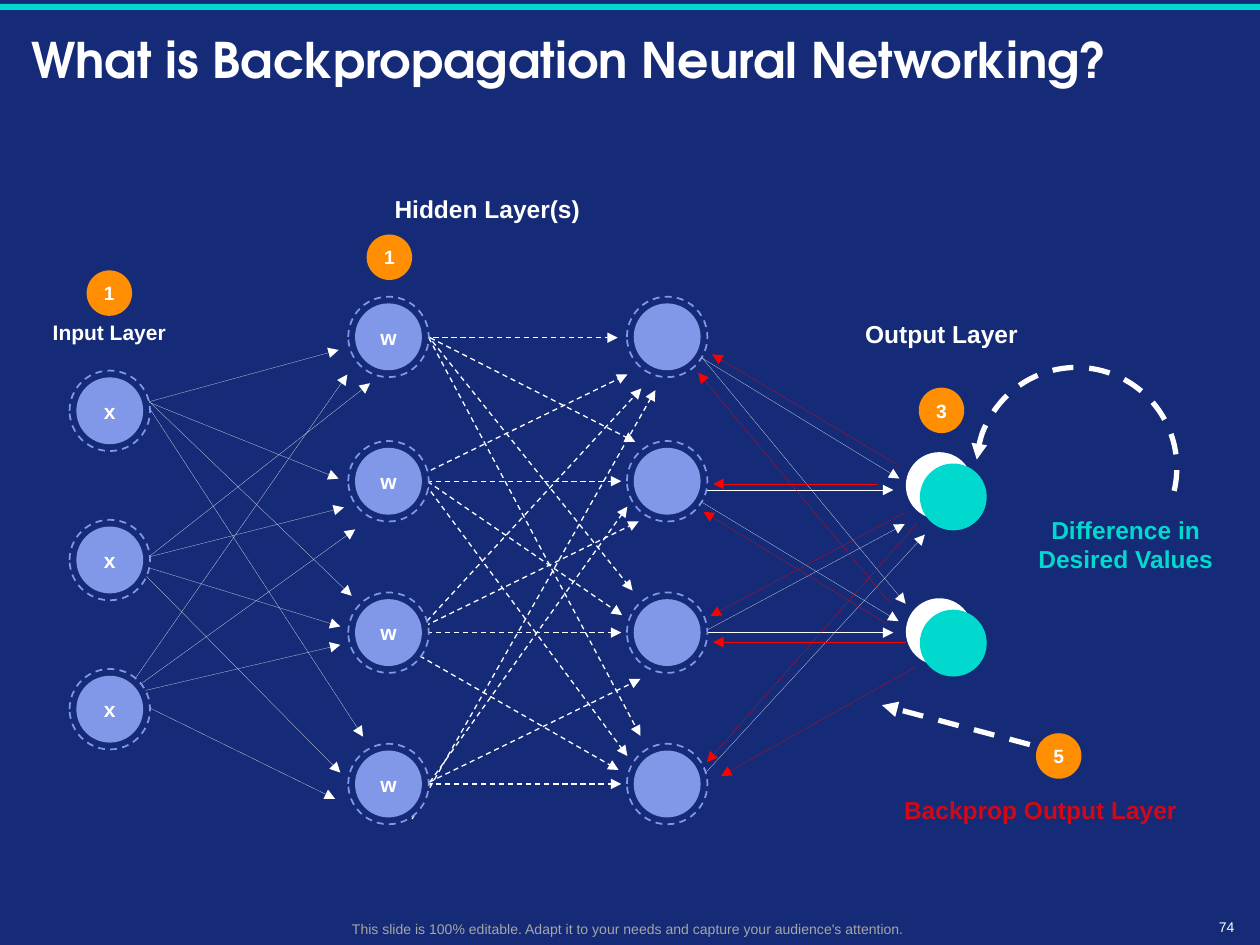
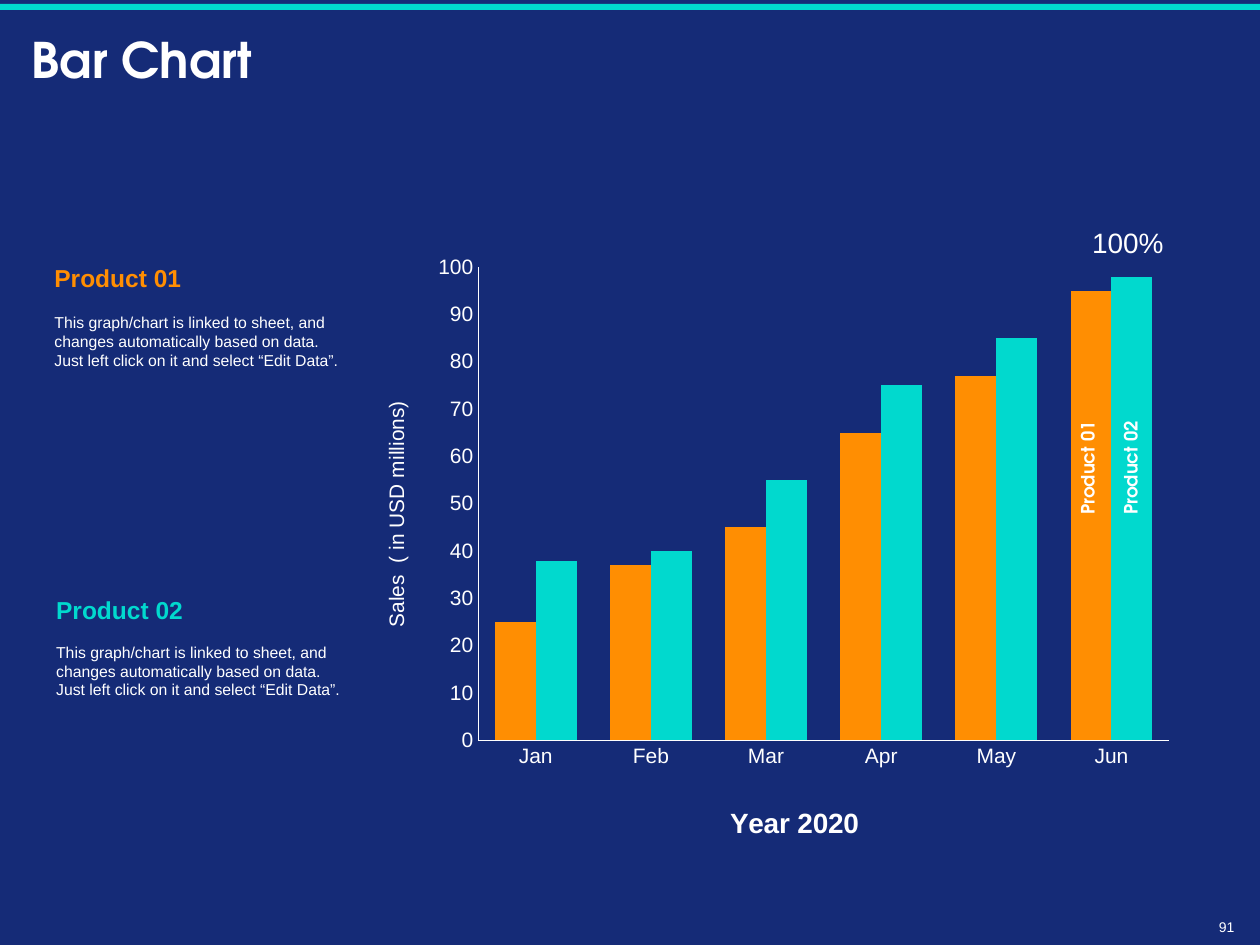
from lxml.etree import SubElement
from pptx import Presentation
from pptx.chart.data import CategoryChartData
from pptx.dml.color import RGBColor
from pptx.enum.chart import XL_CHART_TYPE, XL_TICK_MARK
from pptx.enum.dml import MSO_LINE
from pptx.enum.shapes import MSO_CONNECTOR, MSO_SHAPE
from pptx.enum.text import MSO_ANCHOR, PP_ALIGN
from pptx.oxml.ns import qn
from pptx.util import Pt

# Shared look
HUES = {"navy": "152B77", "teal": "01D9CE", "white": "FFFFFF", "blue": "8198E9",
        "gold": "FF8E02", "red": "FF0000", "brick": "D30816", "grey": "A6A6A6"}
SANS, HEAD = "Arial", "TeX Gyre Adventor"
LEFT, MID, RIGHT = PP_ALIGN.LEFT, PP_ALIGN.CENTER, PP_ALIGN.RIGHT
WIDE, HIGH = 720, 540
HAIR = 0.01

# Network: column centre, row centres, letter
LAYERS = [
    (62.75, [234.75 + 85.25 * row for row in range(3)], "x"),
    (222, [192.5, 275, 361.5, 448], "w"),
    (381.25, [192.5, 275, 361.5, 448], ""),
]
RING, DISC, BADGE = 46, 38.2, 26
OUTPUTS = [(536.75, 277.5), (536.75, 361)]
SHIFT = (8, 6.5)
BADGES = [("1", 62.5, 167.5), ("1", 222.5, 147), ("3", 538, 234.5), ("5", 605, 432)]

# Arrows: from x, y to x, y
FIRST = [
    (52.5, 411, 203, 302.5), (60, 412.5, 198.5, 214), (55.5, 401, 194.5, 368.5),
    (56, 390, 191.5, 456.5), (62.5, 324, 196.5, 290), (58.5, 339, 211.5, 219),
    (57.5, 316, 194.5, 358), (75, 320.5, 194.5, 441.5), (65.5, 222, 193.5, 273.5),
    (63.5, 235.5, 193.5, 200), (78, 222.5, 201, 340.5), (76.5, 219.5, 207.5, 421),
]
INNER = [
    (236, 451.5, 366, 388), (230.5, 468, 358.5, 289.5), (244, 448, 355, 448),
    (235.5, 468, 374.5, 223), (229, 364.5, 365, 298), (217.5, 362, 353.5, 440),
    (219.5, 381.5, 366.5, 222), (244, 361.5, 355, 361.5), (223, 260.5, 355.5, 351.5),
    (244, 275, 355, 275), (237, 268.5, 358.5, 432), (223, 280, 358.5, 214),
    (231, 175, 361.5, 337.5), (242.5, 193, 353, 193), (232, 186, 363, 252.5),
    (245, 193, 366, 420.5),
]
LAST = [
    (377, 374.5, 517, 299.5), (401, 204.5, 514, 273.5), (393, 194.5, 517.5, 345),
    (399.5, 286, 513.5, 355), (389.5, 456.5, 528.5, 305.5),
    (399.5, 280, 510.5, 280), (400.5, 361.5, 510.5, 361.5),
]
BACK = [
    (523.5, 381, 412, 443.5), (524, 299, 404, 435.5), (517.5, 367, 407.5, 367),
    (517, 293, 406, 352), (507, 356.5, 402, 292.5), (502, 276.5, 407.5, 276.5),
    (512.5, 265.5, 407, 202.5), (509, 345, 399, 213),
]
HINT = [(588.5, 425.5, 504, 403)]
LOOP = (558, 210, 114.5, 114.5)

# Network labels: text, box, size, hue, align
LABELS = [
    ("Input Layer", (12.5, 179, 100, 21.5), 12, "white", MID),
    ("Hidden Layer(s)", (208.5, 107, 140, 24.5), 14, "white", MID),
    ("Output Layer", (478, 178.5, 120, 24.5), 14, "white", MID),
    ("Difference in Desired Values", (584.5, 290.5, 117.5, 41), 14, "teal", MID),
    ("Backprop Output Layer", (509.5, 450.5, 192, 24.5), 14, "brick", LEFT),
]
FOOT = "This slide is 100% editable. Adapt it to your needs and capture your audience's attention."

# Sales chart
MONTHS = ["Jan", "Feb", "Mar", "Apr", "May", "Jun"]
SALES = [("Series 1", "gold", [25, 37, 45, 65, 77, 95]),
         ("Series 2", "teal", [38, 40, 55, 75, 85, 98])]
NOTE = ("This graph/chart is linked to sheet, and changes automatically based on data. "
        "Just left click on it and select “Edit Data”.")
# Name, hue, left, name top, note top, label left on the bars
GOODS = [("Product 01", "gold", 24, 147, 175, 587),
         ("Product 02", "teal", 25, 336.5, 363.5, 611.5)]


def rgb(hue):
    return RGBColor.from_string(HUES[hue])


def put(obj, **vals):
    for key, val in vals.items():
        setattr(obj, key, val)


def ink(font, size, hue, bold=False, face=SANS):
    put(font, size=Pt(size), bold=bold, name=face)
    font.color.rgb = rgb(hue)


def write(shape, text, size, hue, bold=False, face=SANS, align=LEFT,
          anchor=MSO_ANCHOR.MIDDLE):
    frame = shape.text_frame
    put(frame, text=text, word_wrap=True, vertical_anchor=anchor)
    line = frame.paragraphs[0]
    line.alignment = align
    ink(line.runs[0].font, size, hue, bold, face)
    return line


def label(slide, text, box, *look, **more):
    shape = slide.shapes.add_textbox(*map(Pt, box))
    return shape, write(shape, text, *look, **more)


def form(slide, kind, box, hue):
    shape = slide.shapes.add_shape(kind, *map(Pt, box))
    shape.shadow.inherit = False
    if hue:
        shape.fill.solid()
        shape.fill.fore_color.rgb = rgb(hue)
    else:
        shape.fill.background()
    shape.line.fill.background()
    return shape


def stroke(shape, hue, width, dash=False, tip=None):
    shape.line.color.rgb = rgb(hue)
    shape.line.width = Pt(width)
    if dash:
        shape.line.dash_style = MSO_LINE.DASH
    if tip:
        edge = shape.element.spPr.find(qn("a:ln"))
        SubElement(edge, qn("a:" + tip), type="triangle")


def disc(slide, x, y, size, hue, text="", points=12):
    shape = form(slide, MSO_SHAPE.OVAL, (x - size / 2, y - size / 2, size, size), hue)
    if text:
        put(shape.text_frame, **dict.fromkeys(
            ("margin_left", "margin_right", "margin_top", "margin_bottom"), 0))
        write(shape, text, points, "white", True, align=MID)
    return shape


def arrows(slide, ends, hue, width, dash=False):
    for end in ends:
        line = slide.shapes.add_connector(MSO_CONNECTOR.STRAIGHT, *map(Pt, end))
        stroke(line, hue, width, dash, "tailEnd")
        SubElement(line.element.spPr, qn("a:effectLst"))


def start(deck, title, page):
    slide = deck.slides.add_slide(deck.slide_layouts[6])
    form(slide, MSO_SHAPE.RECTANGLE, (0, 2.25, WIDE, 3.5), "teal")
    line = label(slide, title, (11, 8, 698, 56), 28, "white", True, HEAD)[1]
    line.line_spacing = 0.9
    label(slide, page, (682.5, 522, 30, 15), 8, "white", align=RIGHT)
    return slide


def network(deck):
    slide = start(deck, "What is Backpropagation Neural Networking?", "74")
    # Forward arrows lie below the nodes
    arrows(slide, LAST, "white", HAIR)
    arrows(slide, INNER, "white", 0.75, True)
    arrows(slide, FIRST, "white", HAIR)
    for x, rows, mark in LAYERS:
        for y in rows:
            stroke(disc(slide, x, y, RING, "navy"), "blue", 1, True)
            disc(slide, x, y, DISC, "blue", mark)
    # Way back and outputs
    arrows(slide, BACK, "red", HAIR)
    for x, y in OUTPUTS:
        disc(slide, x, y, DISC, "white")
        disc(slide, x + SHIFT[0], y + SHIFT[1], DISC, "teal")
    loop = form(slide, MSO_SHAPE.ARC, LOOP, None)
    loop.adjustments[0], loop.adjustments[1] = 110.76, 9.16
    stroke(loop, "white", 3, True, "headEnd")
    arrows(slide, HINT, "white", 3, True)
    # Labels
    for text, x, y in BADGES:
        disc(slide, x, y, BADGE, "gold", text, 11)
    for text, box, size, hue, align in LABELS:
        label(slide, text, box, size, hue, True, align=align)
    label(slide, FOOT, (32.5, 522.5, 653, 17), 8, "grey", align=MID)


def place(node, **spots):
    """Fix a chart part at shares of the chart's size."""
    old = node.find(qn("c:layout"))
    if old is not None:
        node.remove(old)
    lay = SubElement(node, qn("c:layout"))
    hold = SubElement(lay, qn("c:manualLayout"))
    if "w" in spots:
        SubElement(hold, qn("c:layoutTarget"), val="inner")
    for key in ("x", "y"):
        SubElement(hold, qn(f"c:{key}Mode"), val="edge")
    for key, val in spots.items():
        SubElement(hold, qn("c:" + key), val=str(val))
    text = node.find(qn("c:tx"))
    if text is None:
        node.insert(0, lay)
    else:
        text.addnext(lay)


def name(axis, text, size, bold, x, y):
    axis.has_title = True
    frame = axis.axis_title.text_frame
    frame.text = text
    ink(frame.paragraphs[0].runs[0].font, size, "white", bold)
    place(axis.axis_title._element, x=x, y=y)


def plot(slide):
    data = CategoryChartData(number_format="General")
    data.categories = MONTHS
    for title, _, vals in SALES:
        data.add_series(title, vals)
    box = map(Pt, (207.5, 139, 470, 345))
    chart = slide.shapes.add_chart(XL_CHART_TYPE.COLUMN_CLUSTERED, *box, data).chart
    put(chart, has_legend=False, has_title=False)
    ink(chart.font, 10, "white")
    bars = chart.plots[0]
    put(bars, gap_width=81, overlap=0, vary_by_categories=False)
    for line, (_, hue, _) in zip(bars.series, SALES):
        line.format.fill.solid()
        line.format.fill.fore_color.rgb = rgb(hue)
    base, side = chart.category_axis, chart.value_axis
    for axis in (base, side):
        put(axis, major_tick_mark=XL_TICK_MARK.NONE, minor_tick_mark=XL_TICK_MARK.NONE,
            has_major_gridlines=False)
        ink(axis.tick_labels.font, 12, "white")
        axis.format.line.color.rgb = rgb("white")
        axis.format.line.width = Pt(0.75)
    put(side, minimum_scale=0, maximum_scale=100, major_unit=10)
    put(side.tick_labels, number_format="#,##0", number_format_is_linked=False)
    name(base, "Year 2020", 16, True, 0.44, 0.93)
    name(side, "Sales  ( in USD millions)", 12, False, 0.02, 0.26)
    area = chart._chartSpace.chart.plotArea
    place(area, x=0.14, y=0.04, w=0.84, h=0.79)


def sales(deck):
    slide = start(deck, "Bar Chart", "91")
    plot(slide)
    top = {"anchor": MSO_ANCHOR.TOP}
    label(slide, "100%", (607, 125.5, 75, 26.5), 16, "white", align=MID, **top)
    for text, hue, x, y, low, bar in GOODS:
        label(slide, text, (x, y, 100, 32), 14, hue, True, **top)
        label(slide, NOTE, (x, low, 184, 54), 9, "white", **top)
        tag = label(slide, text, (bar, 256.5, 69, 20), 10.5, "white", True, HEAD, **top)[0]
        tag.rotation = 270


def main():
    deck = Presentation()
    put(deck, slide_width=Pt(WIDE), slide_height=Pt(HIGH))
    back = deck.slide_master.background.fill
    back.solid()
    back.fore_color.rgb = rgb("navy")
    network(deck)
    sales(deck)
    deck.save("out.pptx")


if __name__ == "__main__":
    main()
